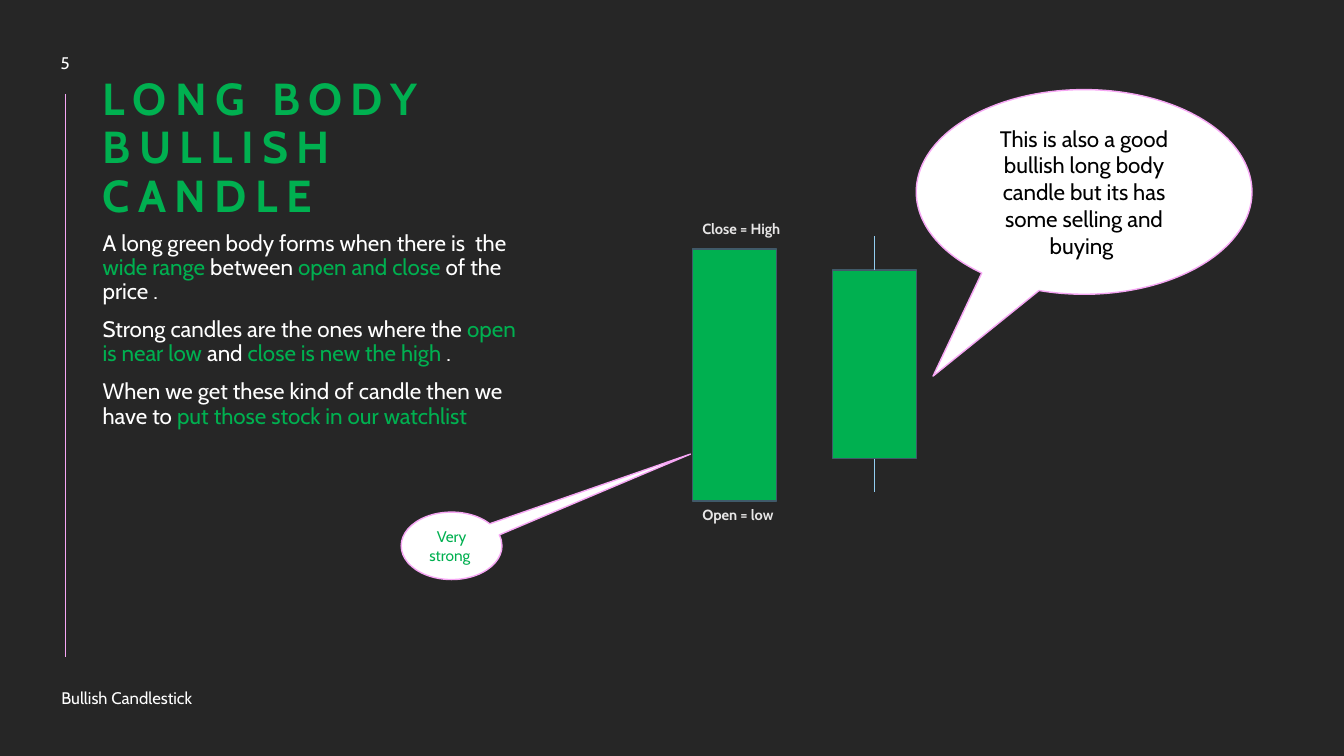
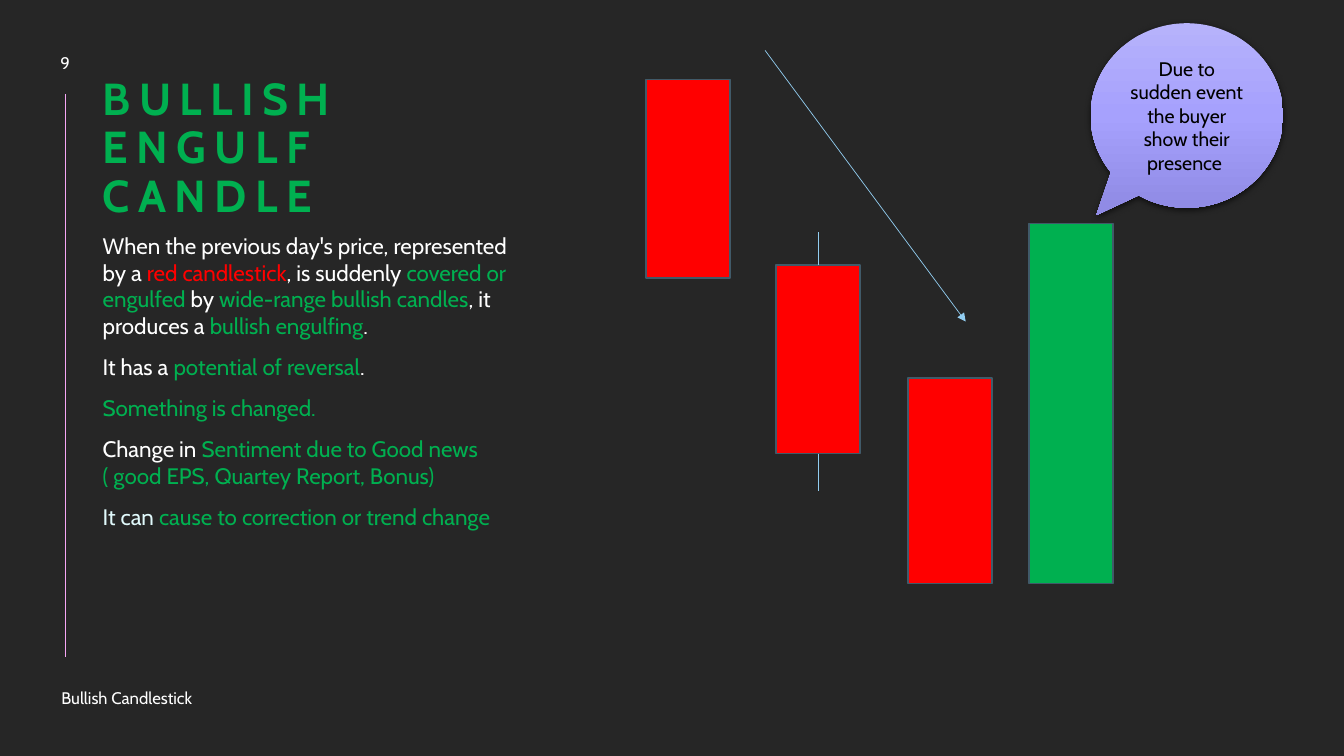
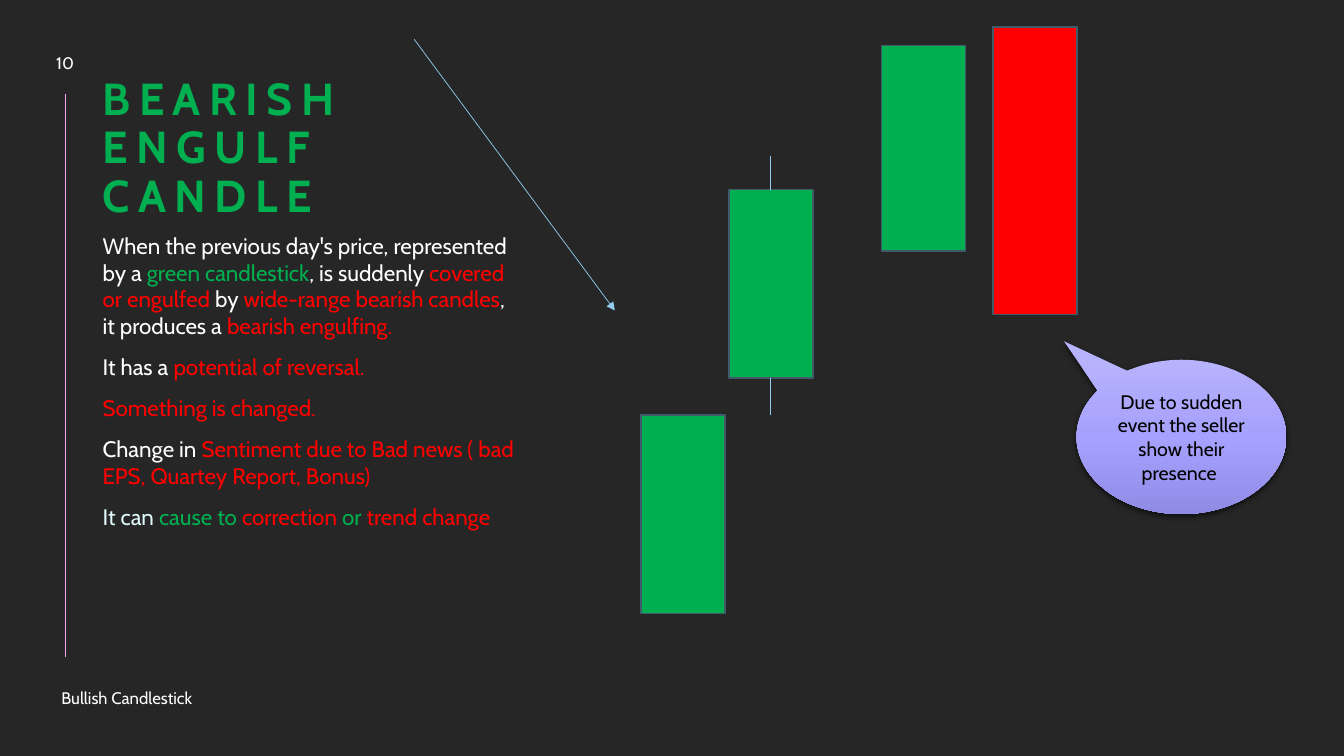
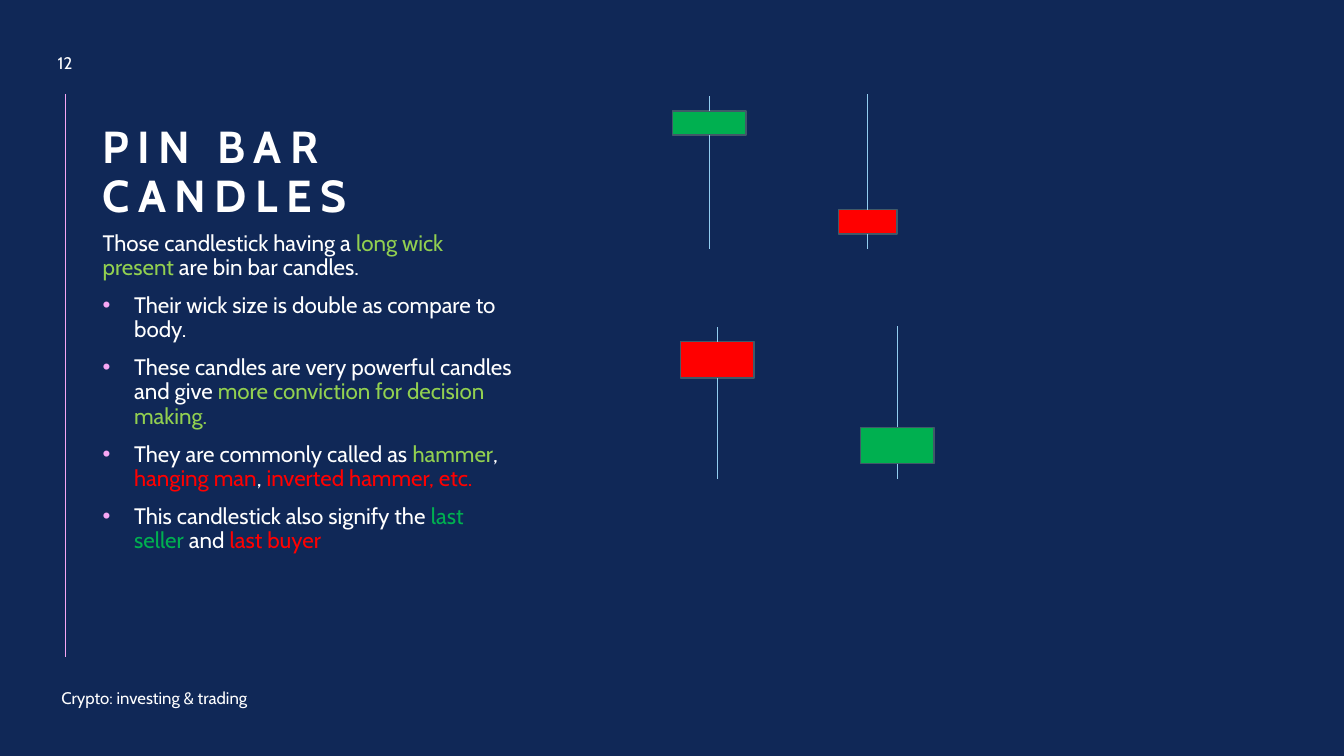
import pptx
import pptx.dml.color
import pptx.enum.dml
import pptx.enum.shapes
import pptx.enum.text
import pptx.oxml
import pptx.oxml.ns
import pptx.util

Pt = pptx.util.Pt
SHAPES = pptx.enum.shapes.MSO_SHAPE
ANCHOR = pptx.enum.text.MSO_ANCHOR
ALIGN = pptx.enum.text.PP_ALIGN

FONT = "Cabin"
COLOURS = {
    "charcoal": "262626",
    "navy": "102857",
    "white": "FFFFFF",
    "black": "000000",
    "green": "00B050",
    "red": "FF0000",
    "lime": "92D050",
    "ice": "E0F9FB",
    "grey": "E7E6E6",
    "pink": "F6A6F4",
    "wick": "92CDF0",
    "outline": "405A69",
    "violet light": "B6B2FB",
    "violet": "A6A1FD",
    "violet dark": "908BE5",
}
CANDLE_WIDTH = 60
BULLET_INDENT = 22.5


def rgb(colour):
    return pptx.dml.color.RGBColor.from_string(COLOURS[colour])


def parse_drawing(tag, content):
    """Make one DrawingML element from its opening tag text and inner XML."""
    name = tag.split()[0]
    namespace = pptx.oxml.ns.nsdecls("a")
    return pptx.oxml.parse_xml(f"<a:{tag} {namespace}>{content}</a:{name}>")


def colour_xml(colour, content=""):
    return f'<a:srgbClr val="{COLOURS[colour]}">{content}</a:srgbClr>'


def add_run(paragraph, text, size, colour, bold=False, spacing=0):
    run = paragraph.add_run()
    run.text = text
    run.font.name = FONT
    run.font.size = Pt(size)
    run.font.bold = bold
    run.font.color.rgb = rgb(colour)
    if spacing:
        run.font._element.set("spc", str(spacing * 100))


def add_text_frame(slide, left, top, width, height, anchor=ANCHOR.TOP):
    box = slide.shapes.add_textbox(Pt(left), Pt(top), Pt(width), Pt(height))
    frame = box.text_frame
    frame.word_wrap = True
    frame.vertical_anchor = anchor
    return frame


def add_line(slide, start, end, colour="wick", arrow=False):
    line = slide.shapes.add_connector(
        pptx.enum.shapes.MSO_CONNECTOR.STRAIGHT,
        Pt(start[0]), Pt(start[1]), Pt(end[0]), Pt(end[1]))
    line.line.color.rgb = rgb(colour)
    line.line.width = Pt(0.5)
    if arrow:
        line.line._get_or_add_ln().append(parse_drawing('tailEnd type="triangle"', ""))
    line._element.spPr.append(parse_drawing("effectLst", ""))


def add_candle(slide, left, top, height, colour, high=None, low=None, width=CANDLE_WIDTH):
    """Draw a candle body, with wicks up to high and down to low."""
    body = slide.shapes.add_shape(SHAPES.RECTANGLE, Pt(left), Pt(top), Pt(width), Pt(height))
    body.shadow.inherit = False
    body.fill.solid()
    body.fill.fore_color.rgb = rgb(colour)
    body.line.color.rgb = rgb("outline")
    body.line.width = Pt(1)
    middle = left + width / 2
    for edge, tip in ((top, high), (top + height, low)):
        if tip is not None:
            add_line(slide, (middle, edge), (middle, tip))


def add_callout(slide, left, top, width, height, tip, text, size, colour="black"):
    callout = slide.shapes.add_shape(
        SHAPES.OVAL_CALLOUT, Pt(left), Pt(top), Pt(width), Pt(height))
    callout.adjustments[0], callout.adjustments[1] = tip
    callout.shadow.inherit = False
    callout.fill.solid()
    callout.fill.fore_color.rgb = rgb("white")
    callout.line.color.rgb = rgb("pink")
    callout.line.width = Pt(1)
    frame = callout.text_frame
    frame.word_wrap = True
    frame.vertical_anchor = ANCHOR.MIDDLE
    paragraph = frame.paragraphs[0]
    paragraph.alignment = ALIGN.CENTER
    add_run(paragraph, text, size, colour)
    return callout


def add_violet_callout(slide, left, top, width, height, tip, text):
    """Add a callout with a violet gradient, a soft shadow and no outline."""
    callout = add_callout(slide, left, top, width, height, tip, text, 14)
    callout.line.fill.background()
    properties = callout._element.spPr
    stops = "".join(
        f'<a:gs pos="{position}">{colour_xml(colour)}</a:gs>'
        for position, colour in ((0, "violet light"), (50000, "violet"), (100000, "violet dark")))
    gradient = parse_drawing(
        "gradFill", f'<a:gsLst>{stops}</a:gsLst><a:lin ang="5400000" scaled="0"/>')
    properties.replace(properties.find(pptx.oxml.ns.qn("a:solidFill")), gradient)
    shadow = parse_drawing(
        f'outerShdw blurRad="{Pt(4.5)}" dist="{Pt(1.5)}" dir="5400000" rotWithShape="0"',
        colour_xml("black", '<a:alpha val="63000"/>'))
    properties.find(pptx.oxml.ns.qn("a:effectLst")).append(shadow)


def add_label(slide, left, top, text):
    frame = add_text_frame(slide, left, top, 77, 20)
    add_run(frame.paragraphs[0], text, 10.5, "grey", bold=True)


def add_bullet(paragraph):
    properties = paragraph._p.get_or_add_pPr()
    properties.set("marL", str(Pt(BULLET_INDENT)))
    properties.set("indent", str(-Pt(BULLET_INDENT)))
    properties.append(parse_drawing("buClr", colour_xml("pink")))
    properties.append(parse_drawing('buFont typeface="Arial"', ""))
    properties.append(parse_drawing('buChar char="•"', ""))


def add_body(slide, paragraphs, line_spacing=1.0, bullets_from=None):
    """Write paragraphs, each a list of (text, colour) runs."""
    frame = add_text_frame(slide, 66.24, 162, 309.6, 300)
    for index, runs in enumerate(paragraphs):
        paragraph = frame.add_paragraph() if index else frame.paragraphs[0]
        paragraph.line_spacing = line_spacing
        paragraph.space_before = Pt(10)
        if bullets_from is not None and index >= bullets_from:
            add_bullet(paragraph)
        for text, colour in runs:
            add_run(paragraph, text, 16, colour)


def add_base_slide(presentation, number, title, footer="Bullish Candlestick",
                   background="charcoal", title_colour="green"):
    """Add a slide with the side line, title, footer and number all slides share."""
    slide = presentation.slides.add_slide(presentation.slide_layouts[6])
    slide.background.fill.solid()
    slide.background.fill.fore_color.rgb = rgb(background)
    add_line(slide, (46.8, 67), (46.8, 469.4), "pink")

    paragraph = add_text_frame(slide, 66.24, 36, 309.6, 126, ANCHOR.BOTTOM).paragraphs[0]
    paragraph.line_spacing = 0.9
    add_run(paragraph, title, 32, title_colour, bold=True, spacing=6)

    frame = add_text_frame(slide, 36.7, 487.4, 183.6, 21.6, ANCHOR.MIDDLE)
    add_run(frame.paragraphs[0], footer, 12, "white")

    paragraph = add_text_frame(slide, 26, 32.4, 41, 24.5, ANCHOR.MIDDLE).paragraphs[0]
    paragraph.alignment = ALIGN.CENTER
    add_run(paragraph, str(number), 12, "white")
    return slide


def add_long_body_slide(presentation):
    slide = add_base_slide(presentation, 5, "LONG BODY BULLISH CANDLE")
    add_body(slide, [
        [("A long green body forms when there is  the ", "white"), ("wide range ", "green"),
         ("between ", "white"), ("open and close", "green"), (" of the price .", "white")],
        [("Strong candles are the ones where the ", "white"), ("open is near low ", "green"),
         ("and ", "white"), ("close is new the high ", "green"), (".", "white")],
        [("When we get these kind of candle then we have to ", "white"),
         ("put those stock in our watchlist", "green")],
    ], line_spacing=0.9)
    add_candle(slide, 494.6, 177.8, 180, "green")
    add_candle(slide, 594.6, 193, 134.6, "green", high=168.5, low=351.4)
    add_label(slide, 494.6, 357.8, "Open = low")
    add_label(slide, 494.6, 153.4, "Close = High")
    add_callout(slide, 654.5, 64, 239.8, 146.2, (-0.45, 0.9),
                "This is also a good bullish long body candle but its has some selling and buying ",
                16)
    add_callout(slide, 286.6, 365.8, 72, 48.2, (2.37, -1.36), "Very strong ", 11, "green")


def add_bullish_engulf_slide(presentation):
    slide = add_base_slide(presentation, 9, "BULLISH ENGULF CANDLE")
    add_body(slide, [
        [("When the previous day's price, represented by a ", "white"),
         ("red candlestick", "red"), (", is suddenly ", "white"),
         ("covered or engulfed ", "green"), ("by ", "white"),
         ("wide-range bullish candles", "green"), (", it produces a ", "white"),
         ("bullish engulfing", "green"), (".", "white")],
        [("It has a ", "white"), ("potential of reversal", "green"), (".", "white")],
        [("Something is changed.", "green")],
        [("Change in ", "white"),
         ("Sentiment due to Good news ( good EPS, Quartey Report, Bonus)", "green")],
        [("It can ", "ice"), ("cause to correction or trend change", "green")],
    ])
    add_candle(slide, 461.5, 56.9, 141.8, "red")
    add_candle(slide, 554.4, 189.4, 134.6, "red", high=165.6, low=350.6)
    add_candle(slide, 648.7, 270, 146.9, "red")
    add_candle(slide, 735.1, 159.8, 257, "green")
    add_line(slide, (546.5, 36), (689.8, 229.7), arrow=True)
    add_violet_callout(slide, 779, 16.6, 137.5, 131.8, (-0.47, 0.54),
                       "Due to sudden event the buyer show their presence ")


def add_bearish_engulf_slide(presentation):
    slide = add_base_slide(presentation, 10, "BEARISH ENGULF CANDLE")
    add_body(slide, [
        [("When the previous day's price, represented by a ", "white"),
         ("green candlestick", "green"), (", is suddenly ", "white"),
         ("covered or engulfed ", "red"), ("by ", "white"),
         ("wide-range bearish candles", "red"), (", it produces a ", "white"),
         ("bearish engulfing.", "red")],
        [("It has a ", "white"), ("potential of reversal.", "red")],
        [("Something is changed.", "red")],
        [("Change in ", "white"),
         ("Sentiment due to Bad news ( bad EPS, Quartey Report, Bonus)", "red")],
        [("It can ", "ice"), ("cause to ", "green"), ("correction", "red"),
         (" or ", "green"), ("trend change", "red")],
    ])
    add_candle(slide, 457.9, 296.6, 141.8, "green")
    add_candle(slide, 520.6, 135.4, 134.6, "green", high=111.6, low=296.6)
    add_candle(slide, 629.6, 32.4, 146.9, "green")
    add_candle(slide, 709.2, 19.4, 205.2, "red")
    add_line(slide, (295.9, 28.1), (439.2, 221.8), arrow=True)
    add_violet_callout(slide, 769, 257, 149.8, 110.2, (-0.56, -0.62),
                       "Due to sudden event the seller show their presence ")


def add_pin_bar_slide(presentation):
    slide = add_base_slide(presentation, 12, "PIN BAR CANDLES", "Crypto: investing & trading",
                           background="navy", title_colour="white")
    add_body(slide, [
        [("Those candlestick having a ", "white"), ("long wick present", "lime"),
         (" are bin bar candles.", "white")],
        [("Their wick size is double as compare to body.", "white")],
        [("These candles are very powerful candles and give ", "white"),
         ("more conviction for decision making.", "lime")],
        [("They are commonly called as ", "white"), ("hammer", "lime"), (", ", "white"),
         ("hanging man", "red"), (", ", "white"), ("inverted hammer, etc.", "red")],
        [("This candlestick also signify the ", "white"), ("last seller ", "green"),
         ("and ", "white"), ("last buyer", "red")],
    ], line_spacing=0.9, bullets_from=1)
    add_candle(slide, 480.2, 79.2, 17.3, "green", high=68.4, low=177.8, width=52.6)
    add_candle(slide, 599, 149.8, 17.3, "red", high=67, low=177.8, width=41.8)
    add_candle(slide, 486, 244.1, 25.9, "red", high=233.3, low=342.4, width=52.6)
    add_candle(slide, 614.5, 305.3, 25.9, "green", high=232.6, low=342.4, width=52.6)


def main():
    presentation = pptx.Presentation()
    presentation.slide_width = Pt(960)
    presentation.slide_height = Pt(540)
    add_long_body_slide(presentation)
    add_bullish_engulf_slide(presentation)
    add_bearish_engulf_slide(presentation)
    add_pin_bar_slide(presentation)
    presentation.save("out.pptx")


if __name__ == "__main__":
    main()
